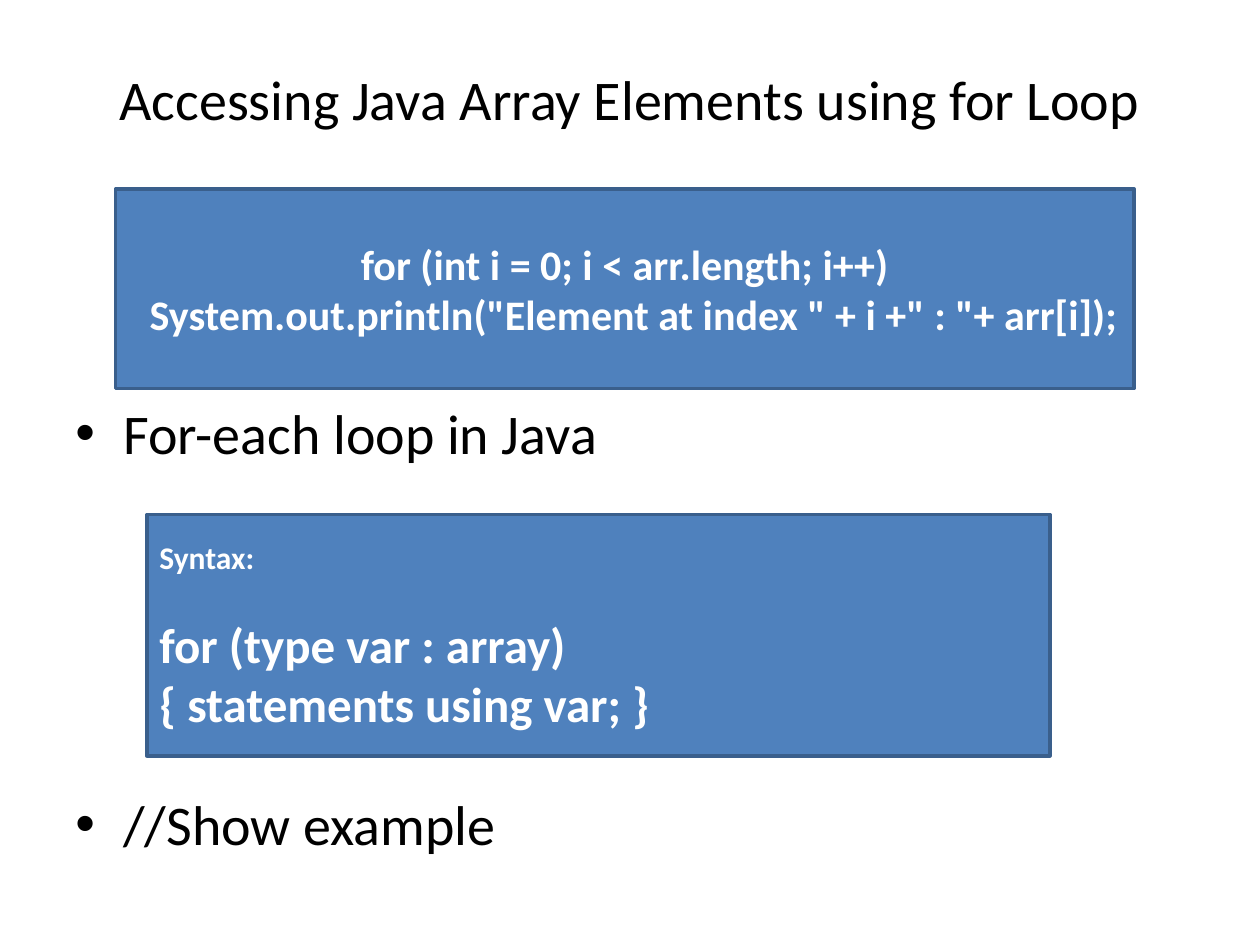
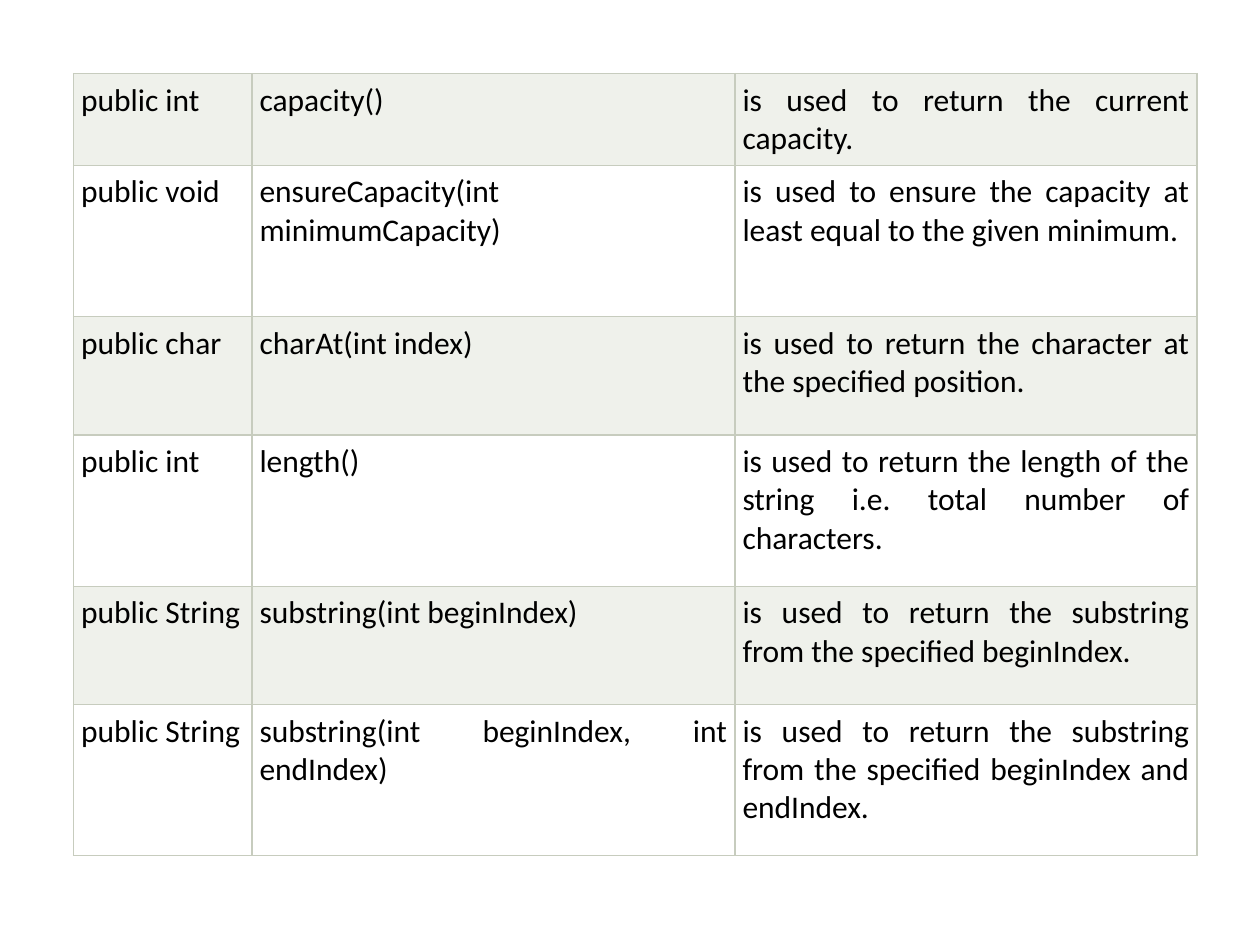
from dataclasses import dataclass

from lxml.etree import SubElement
from pptx import Presentation
from pptx.dml.color import RGBColor
from pptx.enum.shapes import MSO_SHAPE
from pptx.enum.text import MSO_ANCHOR, PP_ALIGN
from pptx.oxml.ns import qn
from pptx.util import Inches, Pt


@dataclass(frozen=True)
class Theme:
    font: str = "Calibri"
    text: str = "000000"
    light: str = "FFFFFF"
    panel: str = "4F81BD"
    panel_line: str = "3A5F8C"
    row_tint: str = "EFF1EB"
    border: str = "C7CCBE"
    heading: int = 32
    syntax: int = 28
    code: int = 24
    small: int = 18
    panel_line_width: float = 2
    border_width: float = 0.75


THEME = Theme()
COLUMNS, ROWS = 120, 90  # slide grid
UNIT = Inches(10) // COLUMNS


def grid(*values):
    """Turn grid columns or rows into lengths."""
    return [int(v * UNIT) for v in values]


def rgb(color):
    return RGBColor.from_string(color)


def add_run(p, text, size, color=THEME.text, bold=False):
    r = p.add_run()
    r.text = text
    r.font.name = THEME.font
    r.font.size = Pt(size)
    r.font.bold = bold
    r.font.color.rgb = rgb(color)


def next_paragraph(tf, index):
    return tf.paragraphs[0] if index == 0 else tf.add_paragraph()


def add_text_box(s, box):
    tf = s.shapes.add_textbox(*grid(*box)).text_frame
    tf.word_wrap = True
    return tf


def add_title(s, box, text):
    tf = add_text_box(s, box)
    tf.vertical_anchor = MSO_ANCHOR.MIDDLE
    p = tf.paragraphs[0]
    p.alignment = PP_ALIGN.CENTER
    add_run(p, text, THEME.heading)


def add_bullets(s, box, items):
    """Each item is (text, points of space before)."""
    tf = add_text_box(s, box)
    for i, (text, before) in enumerate(items):
        p = next_paragraph(tf, i)
        p.space_before = Pt(before)
        pPr = p._p.get_or_add_pPr()
        pPr.set("marL", str(Inches(0.38)))
        pPr.set("indent", str(-Inches(0.38)))
        SubElement(pPr, qn("a:buFont"), typeface="Arial")
        SubElement(pPr, qn("a:buChar"), char="•")
        add_run(p, text, THEME.heading)


def add_code_panel(s, box, lines, align):
    """Each line is (text, size, points before, left margin in inches)."""
    sp = s.shapes.add_shape(MSO_SHAPE.RECTANGLE, *grid(*box))
    sp.shadow.inherit = False
    sp.fill.solid()
    sp.fill.fore_color.rgb = rgb(THEME.panel)
    sp.line.color.rgb = rgb(THEME.panel_line)
    sp.line.width = Pt(THEME.panel_line_width)
    tf = sp.text_frame
    tf.word_wrap = True
    tf.vertical_anchor = MSO_ANCHOR.MIDDLE
    for i, (text, size, before, margin) in enumerate(lines):
        p = next_paragraph(tf, i)
        p.alignment = align
        p.space_before = Pt(before)
        p._p.get_or_add_pPr().set("marL", str(Inches(margin)))
        add_run(p, text, size, THEME.light, bold=True)


def style_cell(cell, fill):
    cell.margin_left = cell.margin_right = Inches(0.06)
    cell.margin_top = cell.margin_bottom = Inches(0.06)
    tcPr = cell._tc.get_or_add_tcPr()
    for side in ("lnL", "lnR", "lnT", "lnB"):
        ln = SubElement(tcPr, qn(f"a:{side}"), w=str(Pt(THEME.border_width)))
        solid = SubElement(ln, qn("a:solidFill"))
        SubElement(solid, qn("a:srgbClr"), val=THEME.border)
    cell.fill.solid()
    cell.fill.fore_color.rgb = rgb(fill)


def add_method_table(s, box, col_shares, row_shares, methods):
    """Split the box by the given shares of its width and height."""
    left, top, width, height = grid(*box)
    table = s.shapes.add_table(len(methods), len(col_shares),
                               left, top, width, height).table
    table.first_row = table.horz_banding = False
    for column, share in zip(table.columns, col_shares):
        column.width = int(width * share / sum(col_shares))
    for row, share in zip(table.rows, row_shares):
        row.height = int(height * share / sum(row_shares))
    for i, method in enumerate(methods):
        for j, text in enumerate(method):
            cell = table.cell(i, j)
            style_cell(cell, THEME.light if i % 2 else THEME.row_tint)
            p = cell.text_frame.paragraphs[0]
            p.alignment = PP_ALIGN.JUSTIFY
            add_run(p, text, THEME.small)


def build_loop_slide(s):
    add_title(s, (6, 3.6, 108, 11.4),
              "Accessing Java Array Elements using for Loop")
    # The second bullet leaves room for the syntax panel
    add_bullets(s, (6, 37.4, 108, 43),
                [("For-each loop in Java", 0), ("//Show example", 185)])
    add_code_panel(s, (11, 18, 97, 19), [
        ("for (int i = 0; i < arr.length; i++)", THEME.code, 0, 0),
        ('System.out.println("Element at index " + i +" : "+ arr[i]);',
         THEME.code, 0, 0.14),
    ], PP_ALIGN.CENTER)
    add_code_panel(s, (14, 49, 86, 23), [
        ("Syntax:", THEME.small, 0, 0),
        ("for (type var : array)", THEME.syntax, 22, 0),
        ("{ statements using var; }", THEME.syntax, 0, 0),
    ], PP_ALIGN.LEFT)


def build_methods_slide(s):
    methods = [
        ("public int", "capacity()",
         "is used to return the current capacity."),
        ("public void", "ensureCapacity(int minimumCapacity)",
         "is used to ensure the capacity at least equal to the given minimum."),
        ("public char", "charAt(int index)",
         "is used to return the character at the specified position."),
        ("public int", "length()",
         "is used to return the length of the string i.e. total number of "
         "characters."),
        ("public String", "substring(int beginIndex)",
         "is used to return the substring from the specified beginIndex."),
        ("public String", "substring(int beginIndex, int endIndex)",
         "is used to return the substring from the specified beginIndex and "
         "endIndex."),
    ]
    tall, medium, short = 1.2, 0.94, 0.73
    add_method_table(s, (7, 7, 107, 74.5), (17, 46, 44),
                     (short, tall, medium, tall, medium, tall), methods)


def main():
    prs = Presentation()
    prs.slide_width, prs.slide_height = grid(COLUMNS, ROWS)
    for build in (build_loop_slide, build_methods_slide):
        s = prs.slides.add_slide(prs.slide_layouts[6])
        build(s)
    prs.save("out.pptx")


if __name__ == "__main__":
    main()
